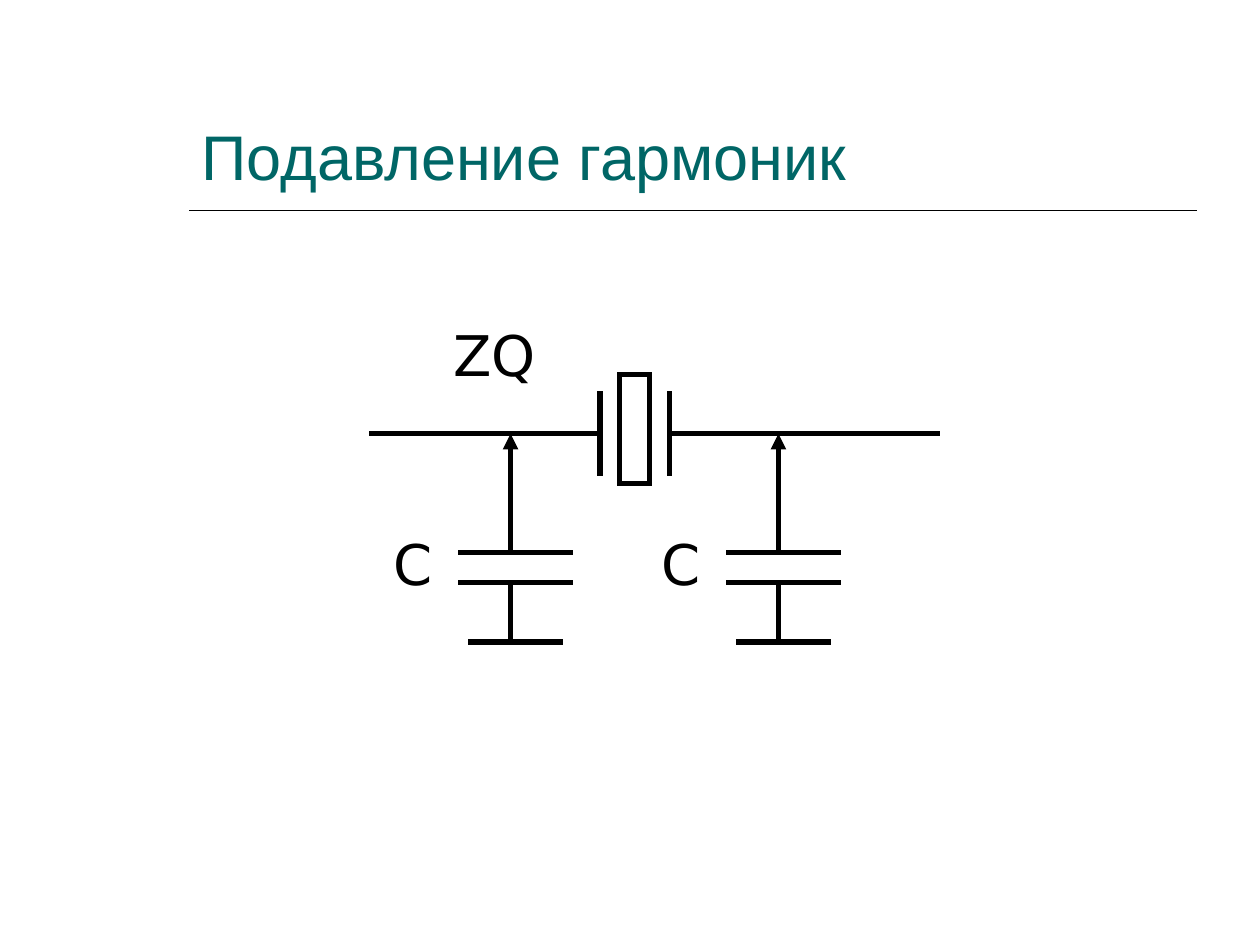
import dataclasses

import pptx
import pptx.dml.color
import pptx.enum.shapes
import pptx.enum.text
import pptx.oxml
import pptx.oxml.ns
import pptx.util

CELL = pptx.util.Cm(0.2)
LEFT = pptx.util.Inches(2.95)
TOP = pptx.util.Inches(2.97)
BLACK = "000000"
TEAL = "006666"
WIRE_ROW = 6
CRYSTAL_COLUMNS = (25, 28)
CRYSTAL_ROWS = (0, 11)
ELECTRODE_COLUMNS = (23, 30)
CAPACITOR_COLUMNS = (14, 41)


@dataclasses.dataclass
class Wire:
    column: float
    row: float
    end_column: float
    end_row: float
    arrow: bool = False


@dataclasses.dataclass
class Label:
    text: str
    column: float
    row: float
    width: float


def color(value: str) -> pptx.dml.color.RGBColor:
    return pptx.dml.color.RGBColor.from_string(value)


def across(column: float) -> int:
    return int(LEFT + column * CELL)


def down(row: float) -> int:
    return int(TOP + row * CELL)


def add_line(page, start: tuple, end: tuple, width: float):
    line = page.shapes.add_connector(
        pptx.enum.shapes.MSO_CONNECTOR.STRAIGHT, *start, *end)
    line.line.color.rgb = color(BLACK)
    line.line.width = pptx.util.Pt(width)
    properties = line._element.spPr
    properties.append(pptx.oxml.parse_xml(
        f"<a:effectLst {pptx.oxml.ns.nsdecls('a')}/>"))
    return line


def draw_wire(page, wire: Wire) -> None:
    line = add_line(page, (across(wire.column), down(wire.row)),
                    (across(wire.end_column), down(wire.end_row)), 3)
    outline = line.line._get_or_add_ln()
    outline.set("cap", "sq")
    if wire.arrow:
        outline.append(pptx.oxml.parse_xml(
            f"<a:tailEnd {pptx.oxml.ns.nsdecls('a')} type='triangle'/>"))


def add_run(para, text: str, font: str, size: float, value: str) -> None:
    span = para.add_run()
    span.text = text
    span.font.name = font
    span.font.size = pptx.util.Pt(size)
    span.font.color.rgb = color(value)


def draw_label(page, label: Label) -> None:
    box = page.shapes.add_textbox(across(label.column), down(label.row),
                                  int(label.width * CELL), int(8 * CELL))
    box.text_frame.word_wrap = True
    add_run(box.text_frame.paragraphs[0], label.text, "DejaVu Sans", 32, BLACK)


def crystal_wires() -> list[Wire]:
    left, right = CRYSTAL_COLUMNS
    top, bottom = CRYSTAL_ROWS
    sides = [Wire(column, top, column, bottom) for column in CRYSTAL_COLUMNS]
    ends = [Wire(left, row, right, row) for row in CRYSTAL_ROWS]
    electrodes = [Wire(column, 2, column, 10) for column in ELECTRODE_COLUMNS]
    return sides + ends + electrodes


def capacitor_wires(column: float) -> list[Wire]:
    plates = [Wire(column - 5, row, column + 6, row) for row in (18, 21)]
    return plates + [
        Wire(column, 18, column, WIRE_ROW, arrow=True),
        Wire(column, 21, column, 27),
        Wire(column - 4, 27, column + 5, 27),
    ]


def add_title(page, deck) -> None:
    title = page.shapes.title
    title.left, title.top = int(deck.slide_width * 0.15), pptx.util.Inches(0.33)
    title.width, title.height = int(deck.slide_width * 0.8), pptx.util.Inches(1.25)
    frame = title.text_frame
    frame.word_wrap = True
    frame.vertical_anchor = pptx.enum.text.MSO_ANCHOR.BOTTOM
    para = frame.paragraphs[0]
    para.alignment = pptx.enum.text.PP_ALIGN.LEFT
    add_run(para, "Подавление гармоник", "Arial", 36, TEAL)
    rule = pptx.util.Inches(1.67)
    add_line(page, (title.left, rule), (title.left + title.width, rule), 1)


def main() -> None:
    deck = pptx.Presentation()
    deck.slide_width = pptx.util.Inches(10)
    deck.slide_height = pptx.util.Inches(7.5)
    page = deck.slides.add_slide(deck.slide_layouts[5])
    add_title(page, deck)

    first, last = ELECTRODE_COLUMNS
    wires = [Wire(0, WIRE_ROW, first, WIRE_ROW), Wire(last, WIRE_ROW, 57, WIRE_ROW)]
    wires += crystal_wires()
    labels = [Label("ZQ", 7, -6, 14)]
    for column in CAPACITOR_COLUMNS:
        wires += capacitor_wires(column)
        labels.append(Label("C", column - 13, 15, 6))

    for wire in wires:
        draw_wire(page, wire)
    for label in labels:
        draw_label(page, label)
    deck.save("out.pptx")


if __name__ == "__main__":
    main()
